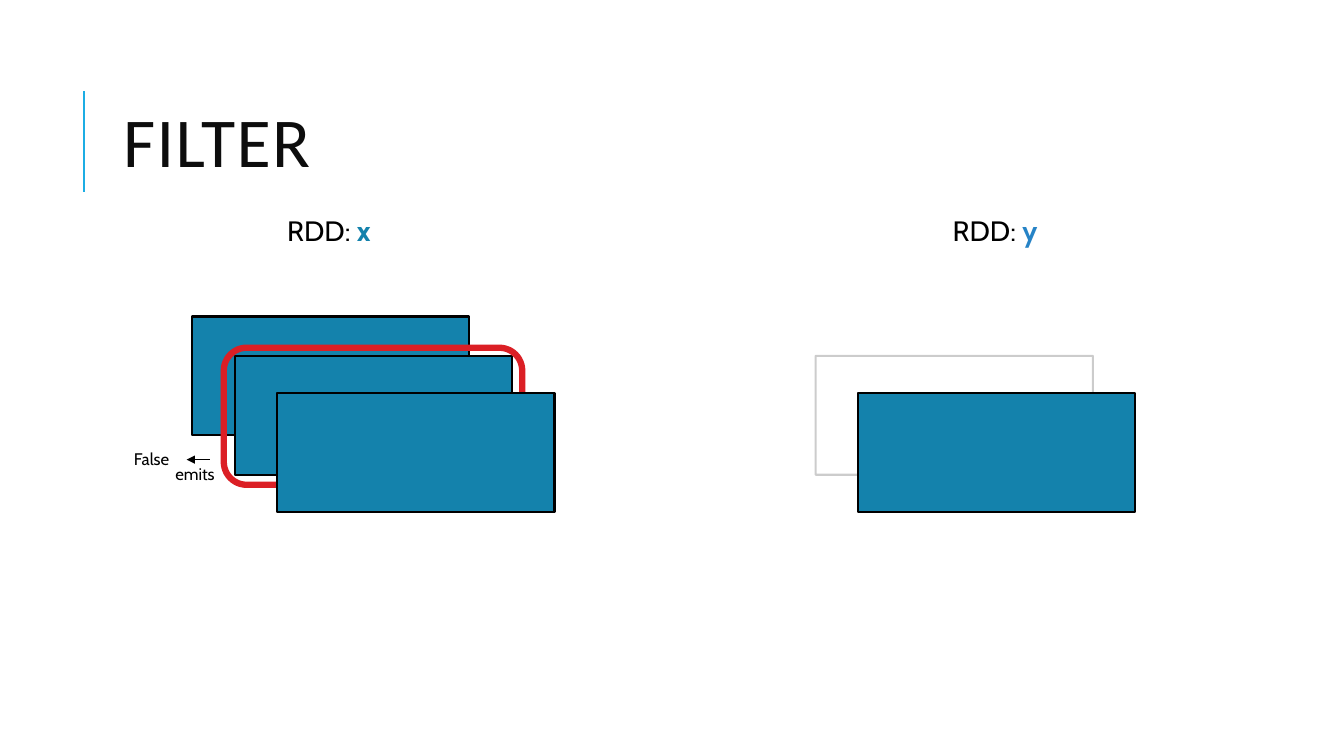
from dataclasses import dataclass
from typing import Optional

import pptx
import pptx.dml.color
import pptx.enum.shapes
import pptx.enum.text
import pptx.oxml
import pptx.oxml.ns
import pptx.util

PX = 9144  # EMU in one px, 100 px to the inch
SHAPES = pptx.enum.shapes.MSO_SHAPE


@dataclass(frozen=True)
class Theme:
    title_font: str = "Calibri"
    body_font: str = "Cabin"
    title_size: int = 50
    heading_size: int = 20
    note_size: int = 12
    title: str = "0D0D0D"
    ink: str = "000000"
    accent: str = "1CADE4"
    partition: str = "1482AC"
    y_name: str = "2683C6"
    highlight: str = "DB1F25"


@dataclass(frozen=True)
class Panel:
    left: int
    top: int
    width: int = 275
    height: int = 118
    kind: int = SHAPES.RECTANGLE
    fill: Optional[str] = Theme.partition
    line: str = Theme.ink
    weight: float = 1.5
    opacity: int = 100


@dataclass(frozen=True)
class Label:
    left: int
    top: int
    width: int
    height: int
    size: int
    text: str
    name: str = ""
    name_color: str = Theme.ink


@dataclass(frozen=True)
class Rule:
    start: tuple[int, int]
    end: tuple[int, int]
    color: str
    weight: float
    arrow: bool = False


THEME = Theme()

PANELS = [
    # RDD x, with the element under test outlined
    Panel(190, 314),
    Panel(233, 353),
    Panel(222, 345, 296, 136, SHAPES.ROUNDED_RECTANGLE, None, THEME.highlight, 4.5),
    Panel(275, 390),
    # RDD y, with the rejected element left as a ghost
    Panel(809, 353, fill=None, opacity=20),
    Panel(851, 390),
]

LABELS = [
    Label(275, 207, 155, 44, THEME.heading_size, "RDD: ", "x", THEME.partition),
    Label(935, 207, 155, 44, THEME.heading_size, "RDD: ", "y", THEME.y_name),
    Label(164, 455, 66, 30, THEME.note_size, "emits"),
    Label(123, 440, 66, 30, THEME.note_size, "False"),
]

RULES = [
    Rule((83, 190), (83, 90), THEME.accent, 1.5),
    Rule((208, 456), (185, 456), THEME.ink, 1, arrow=True),
]


def px(*lengths: int) -> list[int]:
    return [length * PX for length in lengths]


def rgb(color: str) -> pptx.dml.color.RGBColor:
    return pptx.dml.color.RGBColor.from_string(color)


def add_child(parent, tag: str, **attributes: str) -> None:
    child = pptx.oxml.parse_xml(f"<{tag} {pptx.oxml.ns.nsdecls('a')}/>")
    for key, value in attributes.items():
        child.set(key, value)
    parent.append(child)


def set_title(page, text: str) -> None:
    box = page.shapes.title
    box.left, box.top, box.width, box.height = px(112, 64, 1063, 164)
    frame = box.text_frame
    frame.vertical_anchor = pptx.enum.text.MSO_ANCHOR.MIDDLE
    frame.auto_size = pptx.enum.text.MSO_AUTO_SIZE.NONE
    para = frame.paragraphs[0]
    para.alignment = pptx.enum.text.PP_ALIGN.LEFT
    para.line_spacing = 0.8
    para.font.name = THEME.title_font
    para.font.size = pptx.util.Pt(THEME.title_size)
    para.font.color.rgb = rgb(THEME.title)
    span = para.add_run()
    span.text = text
    span._r.get_or_add_rPr().set("spc", "100")


def draw_panel(page, panel: Panel) -> None:
    shape = page.shapes.add_shape(
        panel.kind, *px(panel.left, panel.top, panel.width, panel.height))
    shape.shadow.inherit = False
    if panel.fill:
        shape.fill.solid()
        shape.fill.fore_color.rgb = rgb(panel.fill)
    else:
        shape.fill.background()
    shape.line.color.rgb = rgb(panel.line)
    shape.line.width = pptx.util.Pt(panel.weight)
    if panel.opacity < 100:
        color = shape.line._get_or_add_ln().find(".//" + pptx.oxml.ns.qn("a:srgbClr"))
        add_child(color, "a:alpha", val=str(panel.opacity * 1000))


def draw_label(page, label: Label) -> None:
    box = page.shapes.add_textbox(*px(label.left, label.top, label.width, label.height))
    frame = box.text_frame
    frame.word_wrap = True
    frame.auto_size = pptx.enum.text.MSO_AUTO_SIZE.SHAPE_TO_FIT_TEXT
    para = frame.paragraphs[0]
    para.font.name = THEME.body_font
    para.font.size = pptx.util.Pt(label.size)
    para.font.color.rgb = rgb(THEME.ink)
    para.add_run().text = label.text
    if label.name:
        span = para.add_run()
        span.text = label.name
        span.font.bold = True
        span.font.color.rgb = rgb(label.name_color)


def draw_rule(page, rule: Rule) -> None:
    connector = page.shapes.add_connector(
        pptx.enum.shapes.MSO_CONNECTOR.STRAIGHT, *px(*rule.start, *rule.end))
    connector.line.color.rgb = rgb(rule.color)
    connector.line.width = pptx.util.Pt(rule.weight)
    if rule.arrow:
        add_child(connector.line._get_or_add_ln(), "a:tailEnd", type="triangle")
    add_child(connector._element.spPr, "a:effectLst")


def main() -> None:
    deck = pptx.Presentation()
    deck.slide_width, deck.slide_height = px(1333, 750)
    title_only = deck.slide_layouts.get_by_name("Title Only")
    page = deck.slides.add_slide(title_only)

    set_title(page, "FILTER")
    for panel in PANELS:
        draw_panel(page, panel)
    for rule in RULES:
        draw_rule(page, rule)
    for label in LABELS:
        draw_label(page, label)

    deck.save("out.pptx")


if __name__ == "__main__":
    main()
